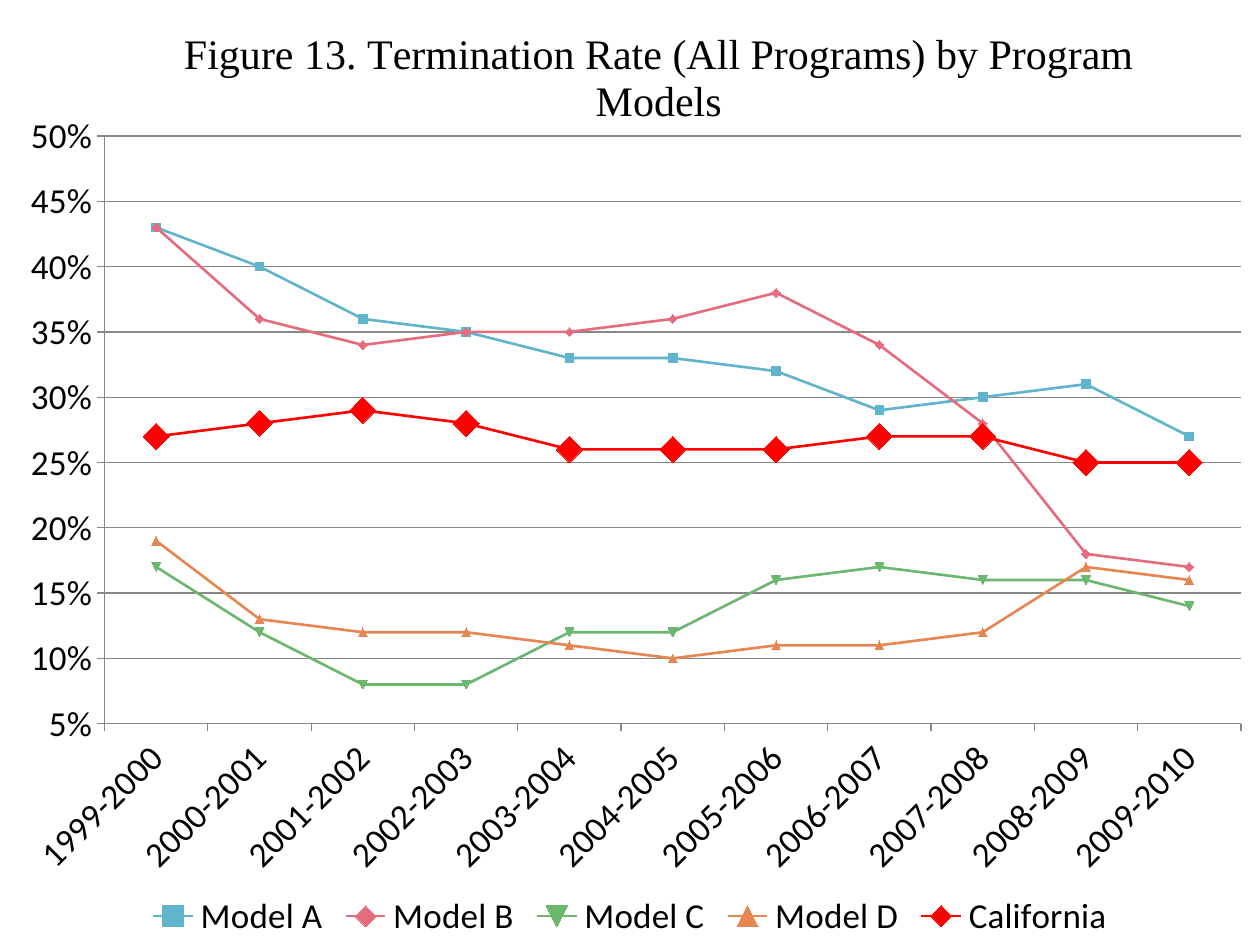
"""Build a slide with a line chart of termination rates by program model."""
from dataclasses import dataclass

from lxml.etree import SubElement
from pptx import Presentation
from pptx.chart.chart import Chart
from pptx.chart.data import CategoryChartData
from pptx.chart.series import LineSeries
from pptx.dml.color import RGBColor
from pptx.enum.chart import XL_CHART_TYPE as ChartType
from pptx.enum.chart import XL_LEGEND_POSITION as LegendPosition
from pptx.enum.chart import XL_MARKER_STYLE as MarkerStyle
from pptx.enum.chart import XL_TICK_MARK as TickMark
from pptx.oxml.ns import qn
from pptx.util import Cm, Pt

BLACK = RGBColor(0x00, 0x00, 0x00)
GRAY = RGBColor(0x87, 0x87, 0x87)
BLUE = RGBColor(0x60, 0xB5, 0xCC)
PINK = RGBColor(0xE6, 0x6C, 0x7D)
GREEN = RGBColor(0x6B, 0xB7, 0x6D)
ORANGE = RGBColor(0xE8, 0x86, 0x51)
RED = RGBColor(0xFF, 0x00, 0x00)

TITLE = "Figure 13. Termination Rate (All Programs) by Program Models"
YEARS = [f"{year}-{year + 1}" for year in range(1999, 2010)]


@dataclass(frozen=True)
class RateLine:
    name: str
    color: RGBColor
    percents: tuple[int, ...]
    marker: MarkerStyle = MarkerStyle.AUTOMATIC
    marker_size: int = 5


RATE_LINES = (
    RateLine("Model A", BLUE, (43, 40, 36, 35, 33, 33, 32, 29, 30, 31, 27)),
    RateLine("Model B", PINK, (43, 36, 34, 35, 35, 36, 38, 34, 28, 18, 17)),
    RateLine("Model C", GREEN, (17, 12, 8, 8, 12, 12, 16, 17, 16, 16, 14)),
    RateLine("Model D", ORANGE, (19, 13, 12, 12, 11, 10, 11, 11, 12, 17, 16)),
    RateLine("California", RED, (27, 28, 29, 28, 26, 26, 26, 27, 27, 25, 25),
             MarkerStyle.DIAMOND, 15),
)


def place(element, **positions: float) -> None:
    """Give a chart part a manual layout in fractions of the chart."""
    layout = element.find(qn("c:layout"))
    if layout is None:
        layout = SubElement(element, qn("c:layout"))
        text = element.find(qn("c:tx"))
        if text is None:
            element.insert(0, layout)
        else:
            text.addnext(layout)
    manual = SubElement(layout, qn("c:manualLayout"))
    if "w" in positions:
        SubElement(manual, qn("c:layoutTarget")).set("val", "inner")
    for side in ("x", "y"):
        SubElement(manual, qn(f"c:{side}Mode")).set("val", "edge")
    for key, value in positions.items():
        SubElement(manual, qn(f"c:{key}")).set("val", str(value))


def format_title(chart: Chart) -> None:
    """Write and place the chart title."""
    title = chart.chart_title
    title.include_in_layout = False
    paragraph = title.text_frame.paragraphs[0]
    paragraph.text = TITLE
    paragraph.font.name = "Times New Roman"
    paragraph.font.size = Pt(24)
    paragraph.font.bold = False
    paragraph.font.color.rgb = BLACK
    place(title._element, x=0.14, y=0.02)


def format_axes(chart: Chart) -> None:
    """Set the scale, ticks, gridlines and slanted labels."""
    value_axis, category_axis = chart.value_axis, chart.category_axis
    value_axis.minimum_scale = 0.05
    value_axis.maximum_scale = 0.5
    value_axis.major_unit = 0.05
    value_axis.has_major_gridlines = True
    value_axis.major_gridlines.format.line.color.rgb = GRAY
    value_axis.major_gridlines.format.line.width = Pt(0.75)
    value_axis.tick_labels.number_format = "0%"
    value_axis.tick_labels.number_format_is_linked = False
    for axis in (value_axis, category_axis):
        axis.major_tick_mark = TickMark.OUTSIDE
        axis.format.line.color.rgb = GRAY
        axis.format.line.width = Pt(0.75)
        axis.tick_labels.font.size = Pt(20)
    body = category_axis._element.find(qn("c:txPr")).find(qn("a:bodyPr"))
    body.set("rot", "-2700000")
    body.set("vert", "horz")


def format_series(series: LineSeries, rate_line: RateLine) -> None:
    """Color one line and its markers."""
    series.smooth = False
    series.format.line.color.rgb = rate_line.color
    series.format.line.width = Pt(1.5)
    marker = series.marker
    marker.style = rate_line.marker
    marker.size = rate_line.marker_size
    marker.format.fill.solid()
    marker.format.fill.fore_color.rgb = rate_line.color
    marker.format.line.color.rgb = rate_line.color


def main() -> None:
    """Create the presentation and save it."""
    presentation = Presentation()
    presentation.slide_width, presentation.slide_height = Cm(25.4), Cm(19.05)
    slide = presentation.slides.add_slide(presentation.slide_layouts[6])
    data = CategoryChartData(number_format="0%")
    data.categories = YEARS
    for rate_line in RATE_LINES:
        data.add_series(rate_line.name, [p / 100 for p in rate_line.percents])
    chart = slide.shapes.add_chart(
        ChartType.LINE_MARKERS, 0, 0, presentation.slide_width,
        presentation.slide_height, data).chart
    chart.font.name = "Calibri"
    chart.font.size = Pt(20)
    chart.font.color.rgb = BLACK
    chart.has_legend = True
    chart.legend.position = LegendPosition.BOTTOM
    chart.legend.include_in_layout = False
    chart.plots[0].vary_by_categories = False
    format_title(chart)
    format_axes(chart)
    for series, rate_line in zip(chart.plots[0].series, RATE_LINES):
        format_series(series, rate_line)
    plot_area = chart._chartSpace.chart.plotArea
    place(plot_area, x=0.083, y=0.144, w=0.902, h=0.622)
    presentation.save("out.pptx")


if __name__ == "__main__":
    main()
